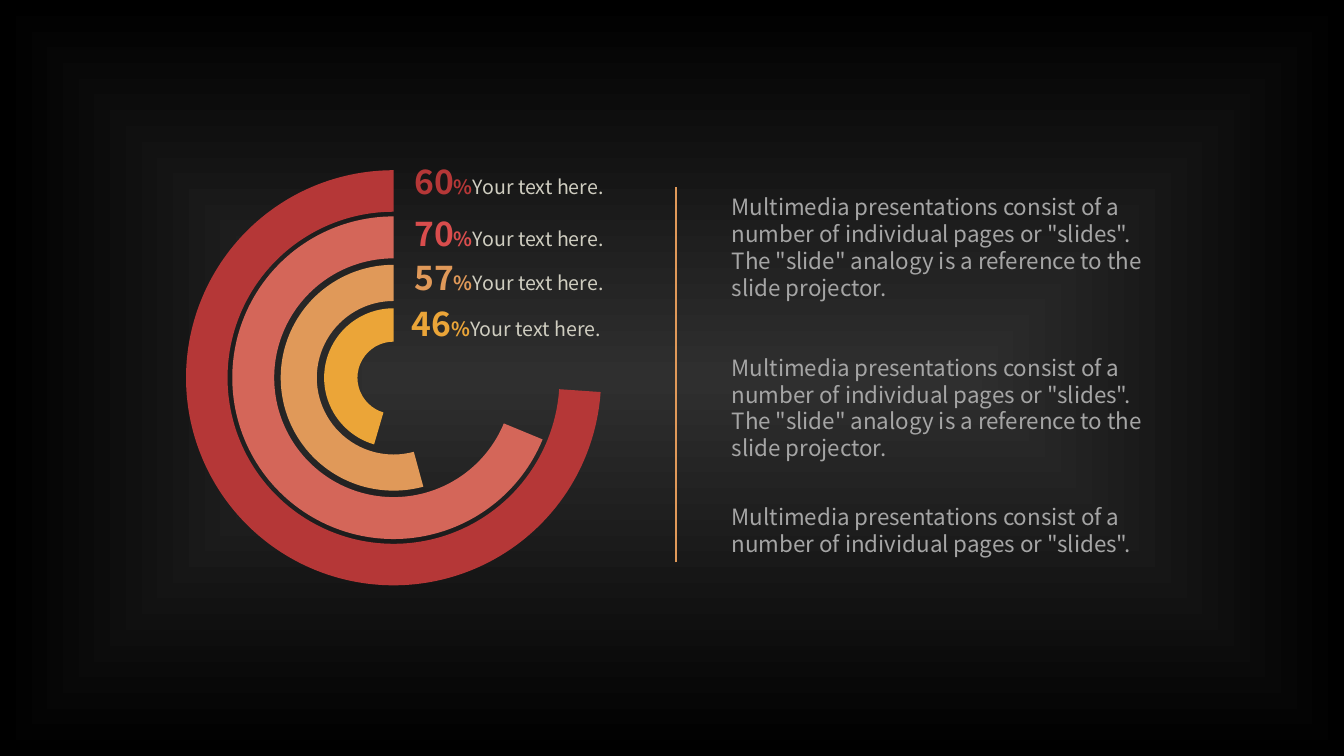
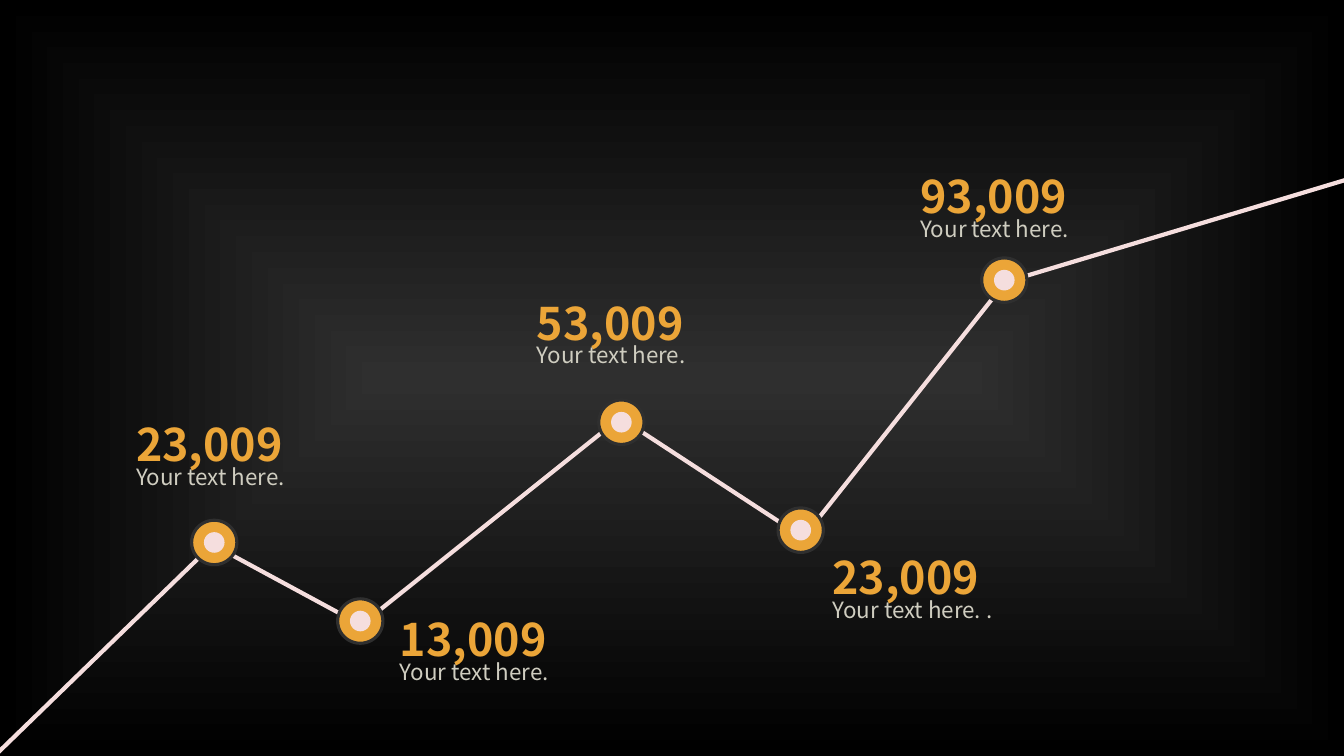
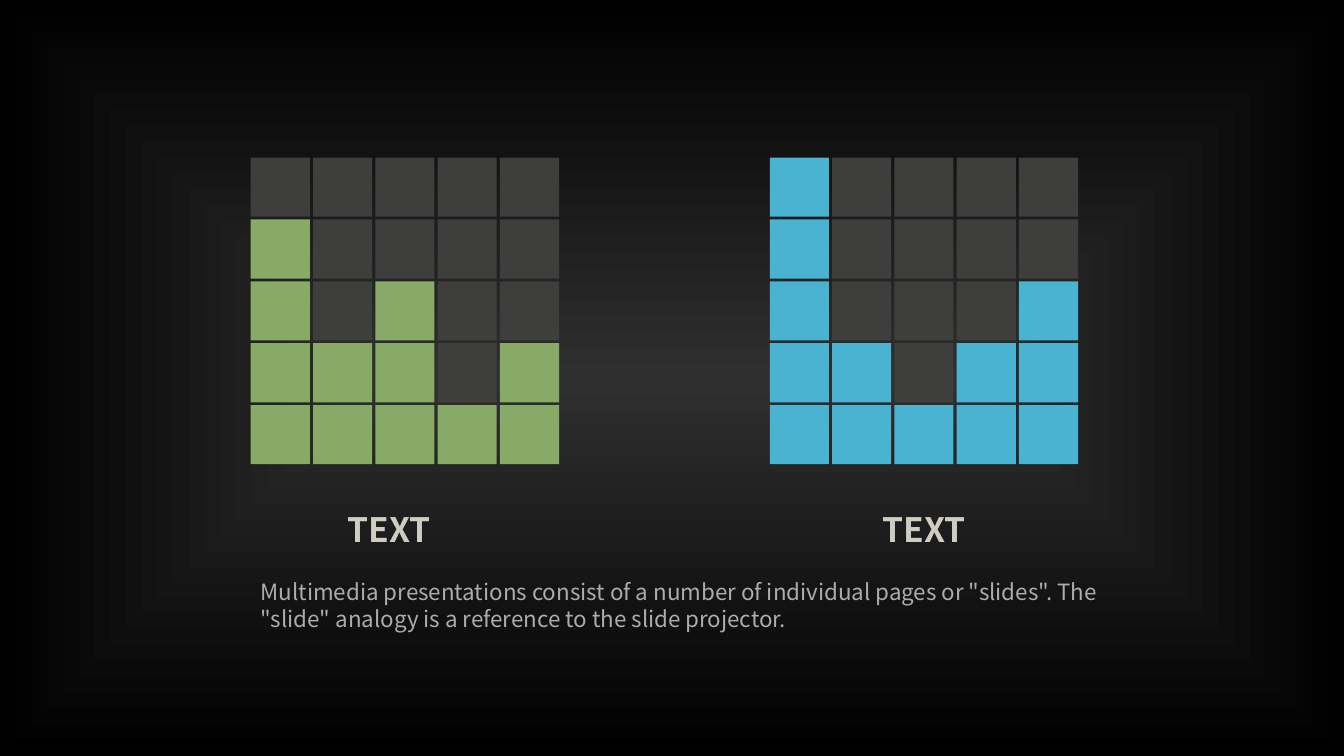
from lxml.etree import SubElement
from pptx import Presentation
from pptx.dml.color import RGBColor
from pptx.enum.shapes import MSO_CONNECTOR, MSO_SHAPE as SHAPE
from pptx.enum.text import MSO_AUTO_SIZE
from pptx.oxml.ns import qn
from pptx.shapes.connector import Connector
from pptx.util import Cm, Pt

FONT = "Noto Sans CJK SC"
CHARCOAL = RGBColor(0x2F, 0x2F, 0x2F)
BLACK = RGBColor(0, 0, 0)
RED = RGBColor(0xB5, 0x37, 0x37)
BRIGHT_RED = RGBColor(0xD9, 0x4D, 0x4D)
CORAL = RGBColor(0xD4, 0x66, 0x59)
ORANGE = RGBColor(0xE0, 0x99, 0x59)
AMBER = RGBColor(0xEB, 0xA5, 0x38)
PINK = RGBColor(0xF5, 0xDE, 0xDE)
CREAM = RGBColor(0xCF, 0xCD, 0xC0)
GREY = RGBColor(0xA5, 0xA5, 0xA5)
WARM_GREY = RGBColor(0xAF, 0xAB, 0xAB)
DARK_GREY = RGBColor(0x3E, 0x3E, 0x3D)
GREEN = RGBColor(0x87, 0xAB, 0x66)
BLUE = RGBColor(0x4B, 0xB3, 0xD2)

CAPTION = "Your text here."
SHORT_BODY = 'Multimedia presentations consist of a number of individual pages or "slides".'
LONG_BODY = SHORT_BODY + ' The "slide" analogy is a reference to the slide projector.'
TALL_LINE = Pt(65)


def add_text(page, text, left, top, width, height, *, size, colour, bold=False, line_spacing=None):
    """Add a one-paragraph box; text is a string or a list of (words, format overrides)."""
    box = page.shapes.add_textbox(Cm(left), Cm(top), Cm(width), Cm(height))
    frame = box.text_frame
    frame.word_wrap = True
    frame.auto_size = MSO_AUTO_SIZE.SHAPE_TO_FIT_TEXT
    para = frame.paragraphs[0]
    if line_spacing:
        para.line_spacing = line_spacing
    for words, changes in [(text, {})] if isinstance(text, str) else text:
        look = {"size": size, "colour": colour, "bold": bold} | changes
        span = para.add_run()
        span.text = words
        span.font.name = FONT
        span.font.size = Pt(look["size"])
        span.font.bold = look["bold"]
        span.font.color.rgb = look["colour"]


def add_filled(page, kind, left, top, width, height, colour):
    shape = page.shapes.add_shape(kind, Cm(left), Cm(top), Cm(width), Cm(height))
    shape.shadow.inherit = False
    shape.fill.solid()
    shape.fill.fore_color.rgb = colour
    shape.line.fill.background()
    return shape


deck = Presentation()
deck.slide_width, deck.slide_height = Cm(33.87), Cm(19.05)
blank = deck.slide_layouts.get_by_name("Blank")

# Shared background: a rectangular glow on the master
master = deck.slide_master
glow = master.background.fill
glow.gradient()
for stop, colour, position in zip(glow.gradient_stops, (CHARCOAL, BLACK), (0, 1)):
    stop.color.rgb = colour
    stop.position = position
gradient = master.element.find(".//" + qn("a:gradFill"))
gradient.remove(gradient.find(qn("a:lin")))
spread = SubElement(gradient, qn("a:path"), {"path": "rect"})
SubElement(spread, qn("a:fillToRect"), dict.fromkeys("ltrb", "50000"))

# Slide 1: concentric arcs with percentages
page = deck.slides.add_slide(blank)
CENTRE_X, CENTRE_Y = 9.92, 9.52
DEGREE = 0.6  # one degree in adjustment units
for diameter, start, thickness, colour in [
    (10.46, 3.95, 0.1, RED),
    (8.13, 22.49, 0.13, CORAL),
    (5.69, 74.73, 0.16, ORANGE),
    (3.5, 106.3, 0.24, AMBER),
]:
    arc = add_filled(page, SHAPE.BLOCK_ARC, CENTRE_X - diameter / 2, CENTRE_Y - diameter / 2,
                     diameter, diameter, colour)
    arc.adjustments[0] = start * DEGREE
    arc.adjustments[1] = 270 * DEGREE
    arc.adjustments[2] = thickness

for percent, left, top, colour in [
    ("60", 10.19, 3.94, RED),
    ("70", 10.19, 5.23, BRIGHT_RED),
    ("57", 10.19, 6.35, ORANGE),
    ("46", 10.13, 7.52, AMBER),
]:
    label = [(percent, {"size": 24}), ("%", {}), (CAPTION, {"colour": CREAM, "bold": False})]
    add_text(page, label, left, top, 7.34, 1.27, size=14, colour=colour, bold=True)

divider = page.shapes.add_connector(MSO_CONNECTOR.STRAIGHT, Cm(17.04), Cm(14.17), Cm(17.04), Cm(4.72))
divider.line.color.rgb = ORANGE
divider.line.width = Pt(1)

for body, top, height in [(LONG_BODY, 4.75, 3), (LONG_BODY, 8.79, 3), (SHORT_BODY, 12.55, 1.63)]:
    add_text(page, body, 18.19, top, 11.4, height, size=16, colour=GREY)

# Slide 2: line of milestones
page = deck.slides.add_slide(blank)
for ends in [
    (-0.48, 19.38, 5.41, 13.67),
    (5.72, 13.92, 8.92, 15.65),
    (9.22, 15.65, 15.49, 10.64),
    (15.8, 10.64, 20.04, 13.41),
    (20.35, 13.41, 25.3, 7.16),
    (25.5, 7.06, 34.19, 4.45),
]:
    segment = page.shapes.add_connector(MSO_CONNECTOR.STRAIGHT, *map(Cm, ends))
    segment.line.color.rgb = PINK
    segment.line.width = Pt(3)

for x, y, number, caption, left, top in [
    (5.4, 13.67, "23,009", CAPTION, 3.18, 9.45),
    (9.08, 15.65, "13,009", CAPTION, 9.83, 14.35),
    (15.66, 10.64, "53,009", CAPTION, 13.28, 6.38),
    (20.18, 13.36, "23,009", CAPTION + " .", 20.73, 12.8),
    (25.31, 7.06, "93,009", CAPTION, 22.94, 3.2),
]:
    ring = add_filled(page, SHAPE.OVAL, x - 0.57, y - 0.56, 1.14, 1.12, AMBER)
    ring.line.color.rgb = CHARCOAL
    ring.line.width = Pt(2.25)
    add_filled(page, SHAPE.OVAL, x - 0.26, y - 0.26, 0.52, 0.52, PINK)
    add_text(page, number, left, top, 5.23, 2.26, size=32, colour=AMBER, bold=True,
             line_spacing=TALL_LINE)
    add_text(page, caption, left, top + 2.1, 4.78, 0.94, size=16, colour=CREAM)

# Slide 3: two block charts
page = deck.slides.add_slide(blank)
ROWS, CELL, PITCH_X, PITCH_Y = 5, 1.49, 1.57, 1.56
for grid_left, title_left, colour, heights in [
    (6.32, 8.51, GREEN, (4, 2, 3, 1, 2)),
    (19.4, 22, BLUE, (5, 2, 1, 2, 3)),
]:
    for column, height in enumerate(heights):
        for row in range(ROWS):
            add_filled(page, SHAPE.RECTANGLE, grid_left + column * PITCH_X, 3.97 + row * PITCH_Y,
                       CELL, CELL, colour if row >= ROWS - height else DARK_GREY)
    add_text(page, "TEXT", title_left, 11.43, 4.7, 2.18, size=24, colour=CREAM, bold=True,
             line_spacing=TALL_LINE)
add_text(page, LONG_BODY, 6.32, 14.45, 22.12, 1.63, size=16, colour=WARM_GREY)

# Connectors carry a theme shadow until an empty effect list is added
for page in deck.slides:
    for shape in page.shapes:
        if isinstance(shape, Connector):
            SubElement(shape.element.spPr, qn("a:effectLst"))

deck.save("out.pptx")
